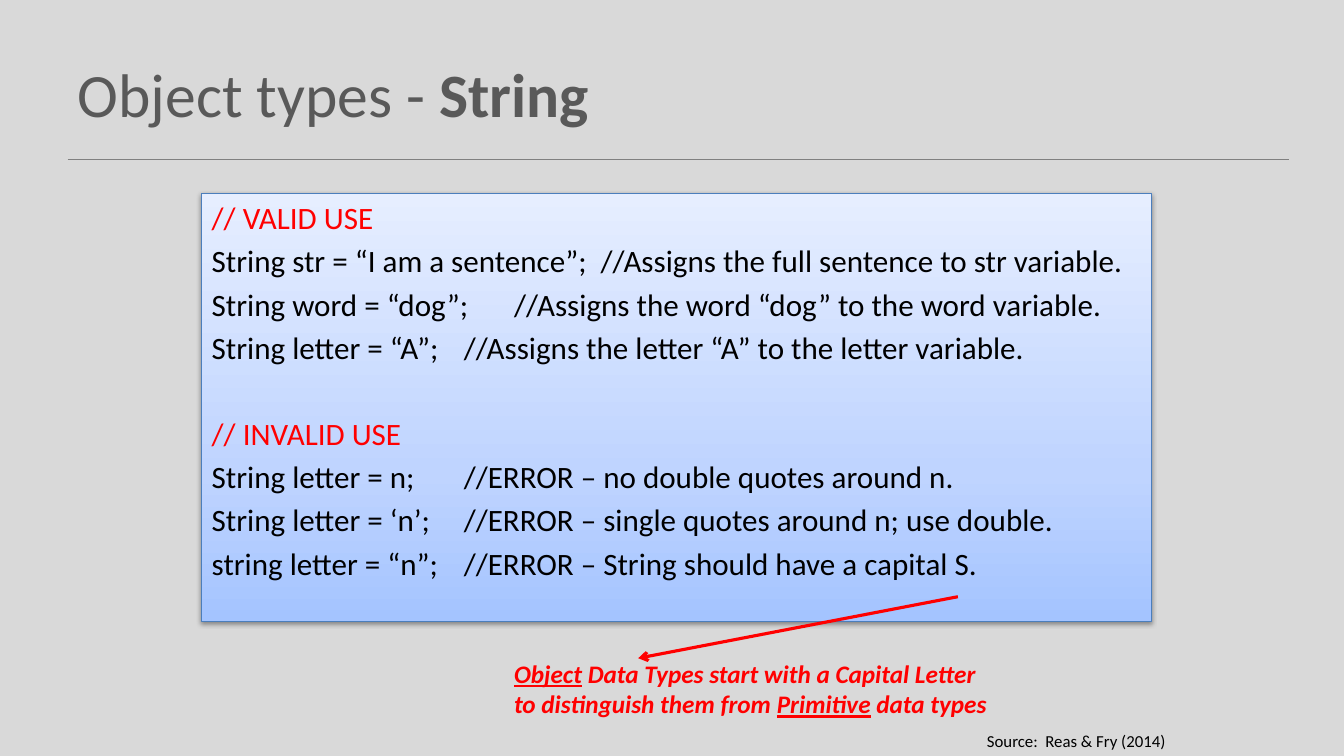
from copy import deepcopy
from dataclasses import dataclass

from lxml import etree
from pptx import Presentation
from pptx.dml.color import RGBColor
from pptx.enum.shapes import MSO_CONNECTOR
from pptx.enum.text import MSO_ANCHOR, MSO_AUTO_SIZE, PP_ALIGN
from pptx.oxml import parse_xml
from pptx.oxml.ns import qn
from pptx.util import Inches, Pt

STRAIGHT = MSO_CONNECTOR.STRAIGHT
LEFT, RIGHT = PP_ALIGN.LEFT, PP_ALIGN.RIGHT
MIDDLE, TOP = MSO_ANCHOR.MIDDLE, MSO_ANCHOR.TOP
NO_FIT = MSO_AUTO_SIZE.NONE
DRAWING = "http://schemas.openxmlformats.org/drawingml/2006/main"


@dataclass(frozen=True)
class Theme:
    font: str = "Calibri"
    page: str = "D9D9D9"
    title: str = "595959"
    rule: str = "808080"
    text: str = "000000"
    accent: str = "FF0000"
    panel_line: str = "4B7EBC"
    panel_stops: tuple = ((0, "A4C4FF"), (0.35, "BFD4FF"), (1, "E6EEFF"))
    title_size: float = 44
    code_size: float = 22.2
    note_size: float = 18
    source_size: float = 12
    line_gap: float = 4.2
    block_gap: float = 35


THEME = Theme()

CODE_BLOCKS = [
    ("// VALID USE", [
        "String str = “I am a sentence”;  //Assigns the full sentence to str variable.",
        "String word = “dog”;\t//Assigns the word “dog” to the word variable.",
        "String letter = “A”;\t//Assigns the letter “A” to the letter variable.",
    ]),
    ("// INVALID USE", [
        "String letter = n;\t//ERROR – no double quotes around n.",
        "String letter = ‘n’;\t//ERROR – single quotes around n; use double.",
        "string letter = “n”;\t//ERROR – String should have a capital S.",
    ]),
]


def rgb(value):
    return RGBColor.from_string(value)


def style(font, size, color, bold=False, italic=False, underline=False):
    font.name = THEME.font
    font.size = Pt(size)
    font.color.rgb = rgb(color)
    font.bold, font.italic, font.underline = bold, italic, underline


def add_span(para, text, size, color, **emphasis):
    span = para.add_run()
    span.text = text
    style(span.font, size, color, **emphasis)


def place(shape, box):
    shape.left, shape.top, shape.width, shape.height = (Inches(v) for v in box)


def add_line(page, start, end, color, width):
    line = page.shapes.add_connector(
        STRAIGHT, *(Inches(v) for v in (*start, *end)))
    line.line.color.rgb = rgb(color)
    line.line.width = Pt(width)
    etree.SubElement(line._element.spPr, qn("a:effectLst"))
    return line


def add_title(page, box):
    title = page.shapes.title
    place(title, box)
    frame = title.text_frame
    frame.auto_size = NO_FIT
    frame.vertical_anchor = MIDDLE
    para = frame.paragraphs[0]
    para.alignment = LEFT
    add_span(para, "Object types - ", THEME.title_size, THEME.title)
    add_span(para, "String", THEME.title_size, THEME.title, bold=True)

    left, top, width, height = box
    rule_y = top + height + 0.03
    add_line(page, (left, rule_y), (left + width + 0.11, rule_y), THEME.rule, 1)


def decorate_panel(panel):
    """Give the code panel its three-stop gradient, outline and soft shadow."""
    panel.fill.gradient()
    panel.fill.gradient_angle = 90
    stops = panel._element.spPr.find(".//" + qn("a:gsLst"))
    stops.append(deepcopy(stops[-1]))
    for stop, (position, color) in zip(panel.fill.gradient_stops, THEME.panel_stops):
        stop.position = position
        stop.color.rgb = rgb(color)
    panel.line.color.rgb = rgb(THEME.panel_line)
    panel.line.width = Pt(0.75)
    panel._element.spPr.append(parse_xml(
        f'<a:effectLst xmlns:a="{DRAWING}">'
        f'<a:outerShdw blurRad="{Pt(3.1)}" dist="{Pt(1.6)}" dir="5400000" rotWithShape="0">'
        '<a:srgbClr val="000000"><a:alpha val="38000"/></a:srgbClr>'
        '</a:outerShdw></a:effectLst>'))


def format_code_line(para, color, gap):
    """Remove the bullet, align comments on one tab stop and style the text."""
    properties = para._p.get_or_add_pPr()
    properties.set("marL", "0")
    properties.set("indent", "0")
    etree.SubElement(properties, qn("a:buNone"))
    tabs = etree.SubElement(properties, qn("a:tabLst"))
    etree.SubElement(tabs, qn("a:tab"), pos=str(Inches(3)), algn="l")
    para.space_before = Pt(gap)
    for span in para.runs:
        style(span.font, THEME.code_size, color)


def add_code_panel(page, box):
    panel = page.placeholders[1]
    place(panel, box)
    decorate_panel(panel)
    frame = panel.text_frame
    frame.auto_size = NO_FIT
    frame.vertical_anchor = TOP
    lines = []
    for heading, statements in CODE_BLOCKS:
        lines.append((heading, THEME.accent, THEME.block_gap if lines else 0))
        lines += [(text, THEME.text, THEME.line_gap) for text in statements]
    frame.text = "\n".join(text for text, _, _ in lines)
    for para, (_, color, gap) in zip(frame.paragraphs, lines):
        format_code_line(para, color, gap)


def add_text_box(page, box, wrap):
    text_box = page.shapes.add_textbox(*(Inches(v) for v in box))
    text_box.text_frame.word_wrap = wrap
    return text_box.text_frame.paragraphs[0]


def add_source(page, box):
    para = add_text_box(page, box, wrap=True)
    para.alignment = RIGHT
    add_span(para, "Source:  Reas & Fry (2014)", THEME.source_size, THEME.text)


def add_capital_note(page, box):
    para = add_text_box(page, box, wrap=False)

    def add_note_span(text, underline=False):
        add_span(para, text, THEME.note_size, THEME.accent,
                 bold=True, italic=True, underline=underline)

    add_note_span("Object", underline=True)
    add_note_span(" Data Types start with a Capital Letter")
    para.add_line_break()
    add_note_span("to distinguish them from ")
    add_note_span("Primitive", underline=True)
    add_note_span(" data types")

    left, top, _, _ = box
    arrow = add_line(page, (left + 4.5, top - 0.56), (left + 1.33, top + 0.05),
                     THEME.accent, 2.25)
    etree.SubElement(arrow.line._get_or_add_ln(), qn("a:tailEnd"), type="arrow")


def main():
    deck = Presentation()
    deck.slide_width, deck.slide_height = Inches(13.33), Inches(7.5)
    page = deck.slides.add_slide(deck.slide_layouts[1])
    page.background.fill.solid()
    page.background.fill.fore_color.rgb = rgb(THEME.page)
    add_title(page, (0.67, 0.3, 12, 1.25))
    add_code_panel(page, (2, 1.92, 9.42, 4.25))
    add_source(page, (5.58, 7.2, 6.08, 0.3))
    add_capital_note(page, (5, 6.48, 4.95, 0.71))
    deck.save("out.pptx")


if __name__ == "__main__":
    main()
